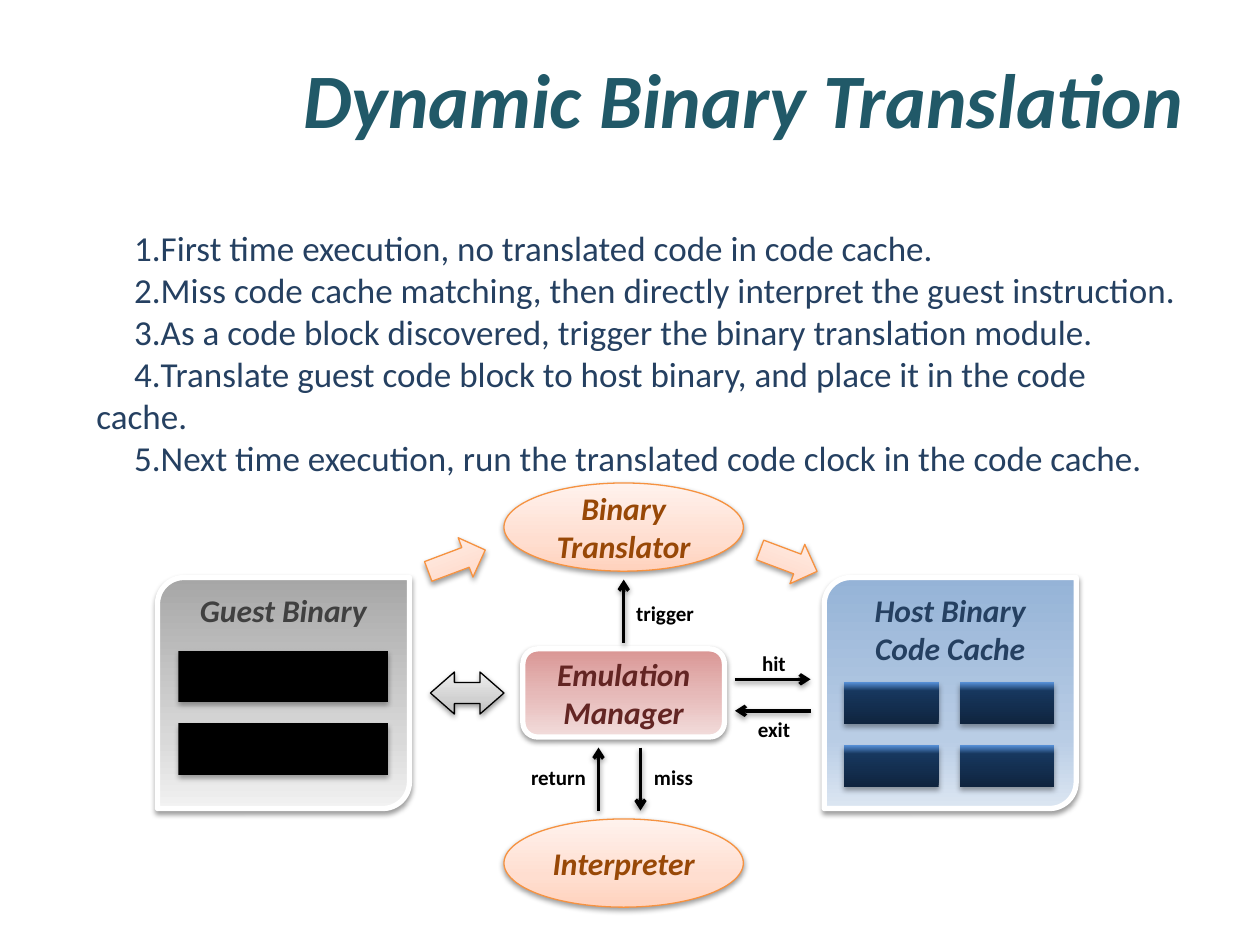
from typing import NamedTuple, Optional

from lxml.etree import SubElement
from pptx import Presentation
from pptx.dml.color import RGBColor
from pptx.enum.shapes import MSO_CONNECTOR, MSO_SHAPE as Preset
from pptx.enum.text import MSO_ANCHOR as Anchor, PP_ALIGN as Align
from pptx.oxml.ns import qn
from pptx.util import Emu, Inches, Pt

COLUMNS, ROWS = 120, 90
WIDTH, HEIGHT = Inches(10), Inches(7.5)
FONT = "Calibri"

BLACK = RGBColor(0x00, 0x00, 0x00)
WHITE = RGBColor(0xFF, 0xFF, 0xFF)
TEAL = RGBColor(0x21, 0x59, 0x68)
NAVY = RGBColor(0x25, 0x40, 0x61)
CHARCOAL = RGBColor(0x40, 0x40, 0x40)
MAROON = RGBColor(0x63, 0x25, 0x23)
BROWN = RGBColor(0x98, 0x48, 0x07)
ORANGE = RGBColor(0xF6, 0x92, 0x40)


class Shade(NamedTuple):
    middle: int
    colours: tuple[RGBColor, RGBColor, RGBColor]
    angle: int


def shade(middle: int, angle: int, *codes: str) -> Shade:
    """Describe a three-stop gradient, its angle counted counter-clockwise."""
    return Shade(middle, tuple(map(RGBColor.from_string, codes)), angle)


GREY_SHADE = shade(70, 270, "A6A6A6", "D9D9D9", "F2F2F2")
BLUE_SHADE = shade(70, 270, "95B3D7", "B9CDE5", "DCE6F2")
RED_SHADE = shade(50, 270, "D99694", "E6B9B8", "F2DCDB")
SILVER_SHADE = shade(35, 90, "BDBDBD", "D1D1D1", "EEEEEE")
PEACH_SHADE = shade(35, 90, "FFD2BD", "FFDED0", "FFF2ED")
NAVY_SHADE = shade(80, 90, "0F243E", "17375E", "558ED5")
BLACK_SHADE = shade(50, 90, "000000", "000000", "000000")


class Box(NamedTuple):
    left: float
    top: float
    width: float
    height: float


class Look(NamedTuple):
    preset: Preset
    shade: Shade
    outline: Optional[RGBColor] = None
    weight: float = 0.75
    ink: RGBColor = BLACK
    anchor: Anchor = Anchor.MIDDLE
    adjustments: tuple[float, ...] = ()


class Part(NamedTuple):
    look: Look
    box: Box
    caption: str = ""
    rotation: float = 0


class Flow(NamedTuple):
    start: tuple[float, float]
    end: tuple[float, float]
    label: str
    label_box: Box


GUEST = Look(Preset.ROUND_2_DIAG_RECTANGLE, GREY_SHADE, WHITE, 3, CHARCOAL, Anchor.TOP, (0.115, 0))
HOST = GUEST._replace(shade=BLUE_SHADE, ink=NAVY)
MANAGER = Look(Preset.ROUNDED_RECTANGLE, RED_SHADE, WHITE, 3, MAROON)
MODULE = Look(Preset.OVAL, PEACH_SHADE, ORANGE, ink=BROWN)
EXCHANGE = Look(Preset.LEFT_RIGHT_ARROW, SILVER_SHADE, BLACK, adjustments=(0.5, 0.571))
PASSAGE = Look(Preset.RIGHT_ARROW, PEACH_SHADE, ORANGE)
GUEST_BLOCK = Look(Preset.RECTANGLE, BLACK_SHADE)
HOST_BLOCK = Look(Preset.RECTANGLE, NAVY_SHADE)

PARTS = [
    Part(GUEST, Box(15, 55, 24, 22), "Guest Binary"),
    Part(MANAGER, Box(49.8, 61.8, 19.2, 8.4), "Emulation Manager"),
    Part(EXCHANGE, Box(41, 64, 7, 4)),
    Part(MODULE, Box(48, 46, 22.8, 8.4), "Binary Translator"),
    Part(MODULE, Box(48, 78, 22.8, 8.4), "Interpreter"),
    Part(HOST, Box(78.5, 55, 24, 22), "Host Binary Code Cache"),
    *(Part(HOST_BLOCK, Box(80.4 + 11 * i, 65 + 6 * j, 9, 4)) for i in range(2) for j in range(2)),
    *(Part(GUEST_BLOCK, Box(17, 62 + 6.9 * j, 20, 4.9)) for j in range(2)),
    Part(PASSAGE, Box(40.6, 51.4, 5.8, 4), rotation=-20.6),
    Part(PASSAGE, Box(72.2, 51.4, 5.8, 4), rotation=20.6),
]

FLOWS = [
    Flow((61, 71.2), (61, 77.2), "miss", Box(61.1, 72.2, 6.1, 3.6)),
    Flow((57, 77.2), (57, 71.2), "return", Box(49.4, 72.2, 7.7, 3.6)),
    Flow((59.4, 61.2), (59.4, 55.2), "trigger", Box(59.4, 56.6, 8, 3.6)),
    Flow((70, 64.7), (77.2, 64.7), "hit", Box(71.4, 61.4, 4.7, 3.6)),
    Flow((77.2, 67.7), (70, 67.7), "exit", Box(71, 67.7, 5.5, 3.6)),
]

STEPS = [
    "First time execution, no translated code in code cache.",
    "Miss code cache matching, then directly interpret the guest instruction.",
    "As a code block discovered, trigger the binary translation module.",
    "Translate guest code block to host binary, and place it in the code cache.",
    "Next time execution, run the translated code clock in the code cache.",
]


def across(columns: float) -> Emu:
    """Turn grid columns into a length."""
    return Emu(round(WIDTH * columns / COLUMNS))


def down(rows: float) -> Emu:
    """Turn grid rows into a length."""
    return Emu(round(HEIGHT * rows / ROWS))


def place(box: Box) -> tuple[Emu, Emu, Emu, Emu]:
    """Turn a grid box into left, top, width and height."""
    return across(box.left), down(box.top), across(box.width), down(box.height)


def add_shadow(properties, distance: float = 1.6, opacity: int = 38) -> None:
    """Append a soft shadow falling downwards."""
    effects = SubElement(properties, qn("a:effectLst"))
    outer = SubElement(effects, qn("a:outerShdw"), blurRad=str(Pt(3.1)), dist=str(Pt(distance)),
                       dir="5400000", rotWithShape="0")
    colour = SubElement(outer, qn("a:srgbClr"), val=str(BLACK))
    SubElement(colour, qn("a:alpha"), val=str(opacity * 1000))


def paint(shape, gradient: Shade) -> None:
    """Fill a shape with a three-stop gradient."""
    shape.fill.gradient()
    shape.fill.gradient_angle = gradient.angle
    stops = shape.element.spPr.find(qn("a:gradFill")).find(qn("a:gsLst"))
    for stop in list(stops):
        stops.remove(stop)
    for position, colour in zip((0, gradient.middle, 100), gradient.colours):
        stop = SubElement(stops, qn("a:gs"), pos=str(position * 1000))
        SubElement(stop, qn("a:srgbClr"), val=str(colour))


def write(paragraph, text: str, size: int, ink: RGBColor, bold: bool = False,
          italic: bool = False, align: Align = Align.LEFT) -> None:
    """Set the wording and font of one paragraph."""
    paragraph.text = text
    paragraph.alignment = align
    font = paragraph.font
    font.name, font.size, font.bold, font.italic = FONT, Pt(size), bold, italic
    font.color.rgb = ink


def add_part(slide, part: Part) -> None:
    """Draw one component of the translator."""
    look = part.look
    shape = slide.shapes.add_shape(look.preset, *place(part.box))
    shape.rotation = part.rotation
    for index, value in enumerate(look.adjustments):
        shape.adjustments[index] = value
    paint(shape, look.shade)
    if look.outline is None:
        shape.line.fill.background()
        add_shadow(shape.element.spPr, 1.8, 35)
    else:
        shape.line.color.rgb = look.outline
        shape.line.width = Pt(look.weight)
        add_shadow(shape.element.spPr)
    if part.caption:
        shape.text_frame.vertical_anchor = look.anchor
        write(shape.text_frame.paragraphs[0], part.caption, 18, look.ink, True, True, Align.CENTER)


def add_text(slide, box: Box, wrap: bool = True):
    """Add an empty text box and return its frame."""
    frame = slide.shapes.add_textbox(*place(box)).text_frame
    frame.word_wrap = wrap
    return frame


def add_flow(slide, flow: Flow) -> None:
    """Draw a labelled arrow between two components."""
    (x1, y1), (x2, y2) = flow.start, flow.end
    arrow = slide.shapes.add_connector(MSO_CONNECTOR.STRAIGHT, across(x1), down(y1), across(x2), down(y2))
    arrow.line.color.rgb = BLACK
    arrow.line.width = Pt(2)
    SubElement(arrow.line._get_or_add_ln(), qn("a:tailEnd"), type="arrow")
    add_shadow(arrow._element.spPr)
    write(add_text(slide, flow.label_box, False).paragraphs[0], flow.label, 12, BLACK, True)


def add_steps(slide) -> None:
    """List the numbered steps of a translation."""
    frame = add_text(slide, Box(8, 21, 105.8, 21.4))
    for index, step in enumerate(STEPS):
        paragraph = frame.add_paragraph() if index else frame.paragraphs[0]
        write(paragraph, step, 20, NAVY)
        properties = paragraph._p.get_or_add_pPr()
        properties.set("marL", "0")
        properties.set("indent", str(Inches(0.3)))
        numbering = properties.makeelement(qn("a:buAutoNum"), {"type": "arabicPeriod"})
        properties.insert(0, numbering)


def main() -> None:
    """Build the slide and save it."""
    deck = Presentation()
    deck.slide_width, deck.slide_height = WIDTH, HEIGHT
    slide = deck.slides.add_slide(deck.slide_layouts[6])
    title = add_text(slide, Box(6, 3.6, 108, 11.4))
    title.vertical_anchor = Anchor.MIDDLE
    write(title.paragraphs[0], "Dynamic Binary Translation", 44, TEAL, True, True, Align.RIGHT)
    for part in PARTS:
        add_part(slide, part)
    for flow in FLOWS:
        add_flow(slide, flow)
    add_steps(slide)
    deck.save("out.pptx")


if __name__ == "__main__":
    main()
